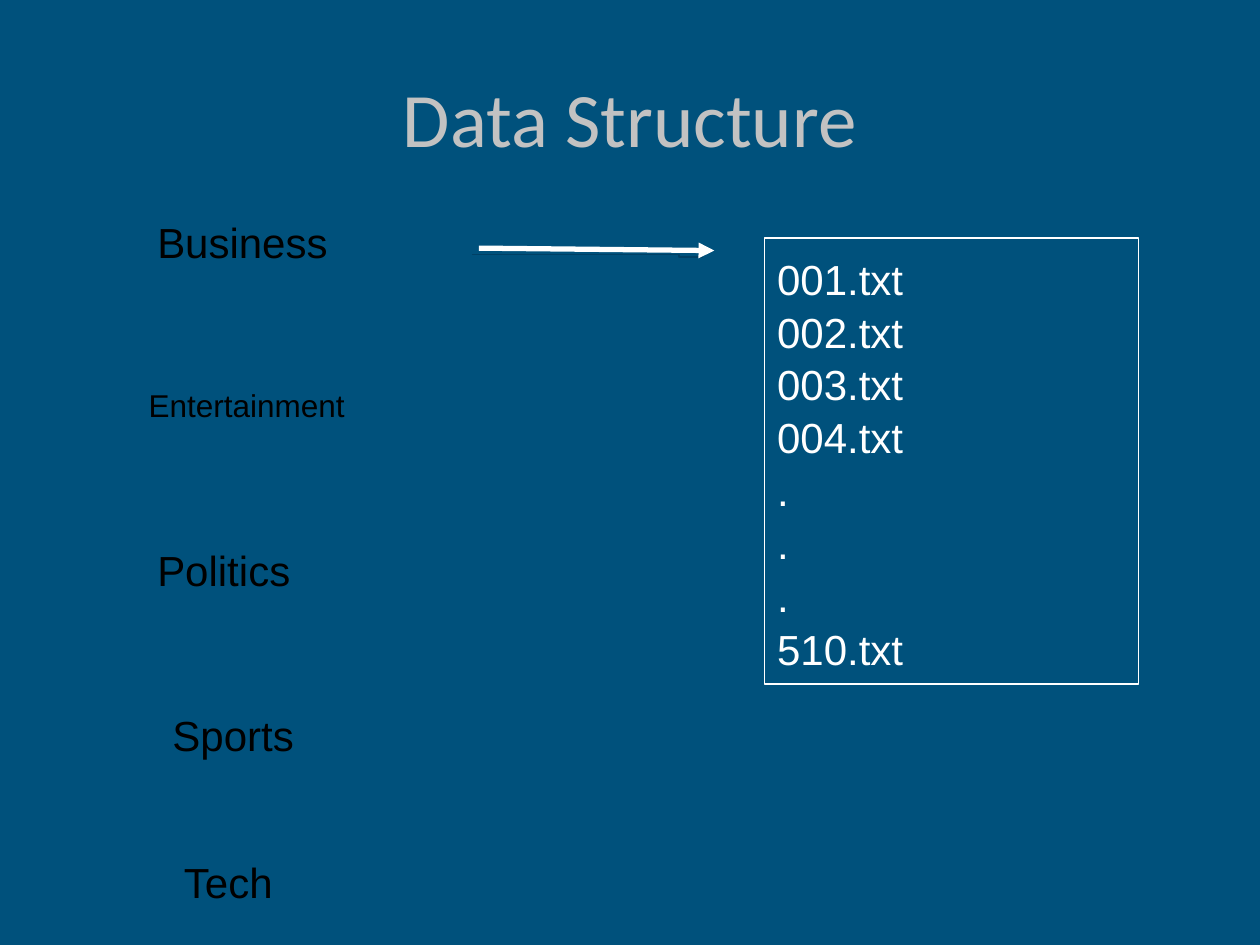
from dataclasses import dataclass

from lxml.etree import SubElement
from pptx import Presentation
from pptx.dml.color import RGBColor
from pptx.enum.shapes import MSO_CONNECTOR, MSO_SHAPE
from pptx.enum.text import MSO_ANCHOR, PP_ALIGN
from pptx.oxml.ns import qn
from pptx.util import Pt


@dataclass(frozen=True)
class Theme:
    """Colours, fonts and type sizes of the slide."""
    background: str = "00517C"
    title: str = "C2C2C2"
    category: str = "000000"
    file: str = "FFFFFF"
    elbow: str = "004065"
    title_font: str = "Calibri"
    body_font: str = "Arial"
    title_size: float = 44
    body_size: float = 24
    small_size: float = 18
    inset: float = 7.2
    line_spacing: float = 1.05


THEME = Theme()


def write_text(holder, text, *, font=THEME.body_font, size=THEME.body_size, color=THEME.file,
               align=PP_ALIGN.LEFT, anchor=MSO_ANCHOR.TOP, spacing=THEME.line_spacing):
    """Fill a shape with one paragraph per line of text."""
    frame = holder.text_frame
    frame.word_wrap = True
    frame.vertical_anchor = anchor
    frame.margin_left = frame.margin_right = Pt(THEME.inset)
    frame.margin_top = frame.margin_bottom = Pt(THEME.inset)
    frame.text = text
    for paragraph in frame.paragraphs:
        paragraph.alignment = align
        paragraph.line_spacing = spacing
        paragraph.font.name = font
        paragraph.font.size = Pt(size)
        paragraph.font.color.rgb = RGBColor.from_string(color)


def add_line(slide, kind, start, end, color, width):
    """Draw a connector without shadow and return it."""
    line = slide.shapes.add_connector(kind, *map(Pt, (*start, *end)))
    line.line.color.rgb = RGBColor.from_string(color)
    line.line.width = Pt(width)
    SubElement(line._element.spPr, qn("a:effectLst"))
    return line


def add_title(slide, left, top, width, height):
    """Place the centred slide title."""
    title = slide.shapes.add_textbox(*map(Pt, (left, top, width, height)))
    write_text(title, "Data Structure", font=THEME.title_font, size=THEME.title_size,
               color=THEME.title, align=PP_ALIGN.CENTER, anchor=MSO_ANCHOR.MIDDLE, spacing=1)


def add_categories(slide, left, top):
    """Place the column of category labels."""
    categories = (
        ("Business", 5, 0, 116, THEME.body_size),
        ("Entertainment", 0, 97.2, 143.3, THEME.small_size),
        ("Politics", 5, 187.2, 116, THEME.body_size),
        ("Sports", 13.7, 281.5, 116, THEME.body_size),
        ("Tech", 20.2, 365.8, 85, THEME.body_size),
    )
    for name, indent, drop, width, size in categories:
        label = slide.shapes.add_textbox(Pt(left + indent), Pt(top + drop), Pt(width), Pt(31))
        write_text(label, name, size=size, color=THEME.category)


def add_folder_arrow(slide, left, top, width):
    """Place the arrow from a category to its files, over a dark elbow line."""
    elbow = add_line(slide, MSO_CONNECTOR.ELBOW, (left, top + 3.6),
                     (left + width - 6.5, top + 5), THEME.elbow, 0.75)
    guides = elbow._element.spPr.find(qn("a:prstGeom")).get_or_add_avLst()
    SubElement(guides, qn("a:gd"), name="adj1", fmla="val 89600")
    arrow = add_line(slide, MSO_CONNECTOR.STRAIGHT, (left + 3.6, top),
                     (left + width, top + 1.4), THEME.file, 3)
    SubElement(arrow.line._get_or_add_ln(), qn("a:tailEnd"), type="triangle")


def add_file_list(slide, left, top, width, height):
    """Place the outlined list of files."""
    files = slide.shapes.add_shape(MSO_SHAPE.RECTANGLE, *map(Pt, (left, top, width, height)))
    files.shadow.inherit = False
    files.fill.background()
    files.line.color.rgb = RGBColor.from_string(THEME.file)
    files.line.width = Pt(0.75)
    names = [f"{number:03}.txt" for number in range(1, 5)] + ["."] * 3 + ["510.txt"]
    write_text(files, "\n".join(names))


def main():
    """Build and save the slide."""
    deck = Presentation()
    deck.slide_width, deck.slide_height = Pt(720), Pt(540)
    slide = deck.slides.add_slide(deck.slide_layouts[6])
    slide.background.fill.solid()
    slide.background.fill.fore_color.rgb = RGBColor.from_string(THEME.background)
    add_title(slide, 36, 21.6, 648, 90)
    add_categories(slide, 77.8, 115.2)
    add_folder_arrow(slide, 270, 141.8, 138.2)
    add_file_list(slide, 437, 136.1, 213.8, 254.9)
    deck.save("out.pptx")


if __name__ == "__main__":
    main()
